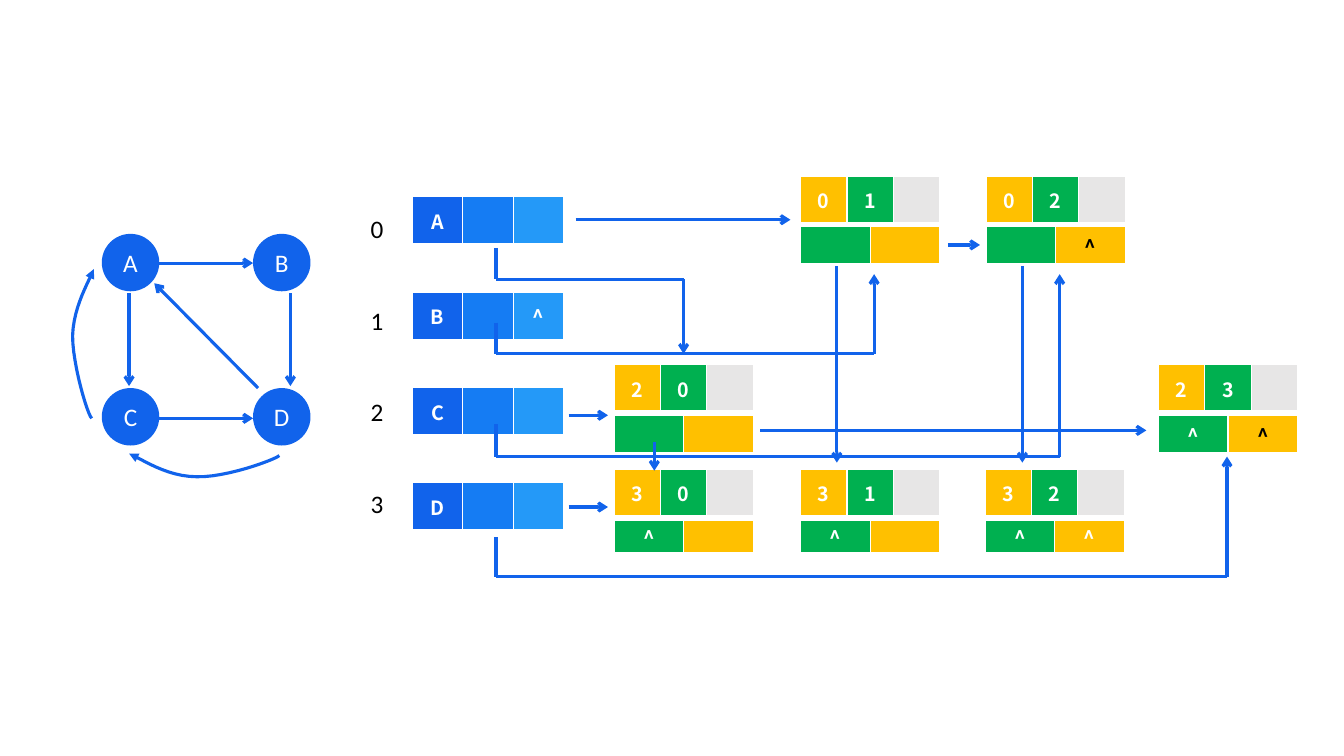
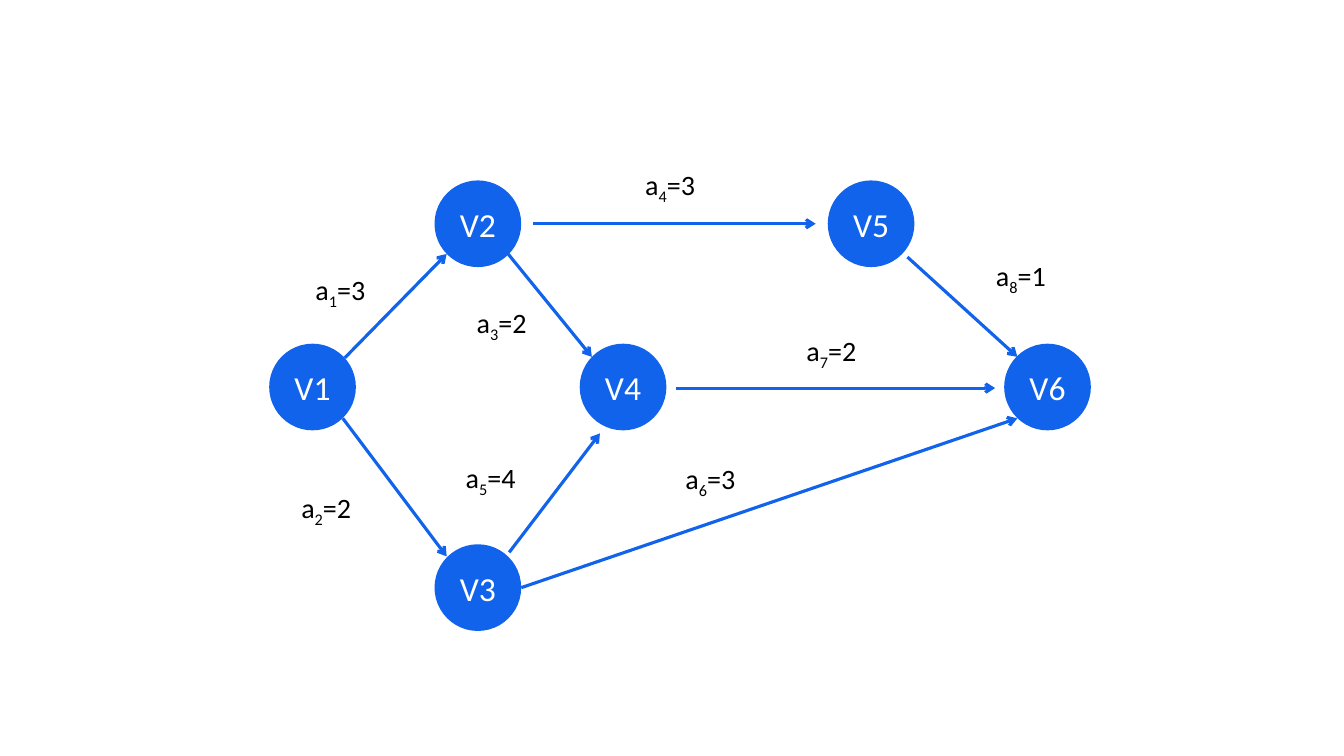
from dataclasses import dataclass

from lxml.etree import SubElement
from pptx import Presentation
from pptx.dml.color import RGBColor
from pptx.enum.shapes import MSO_CONNECTOR, MSO_SHAPE
from pptx.enum.text import MSO_ANCHOR, PP_ALIGN
from pptx.oxml.ns import qn
from pptx.util import Inches, Pt


@dataclass(frozen=True)
class Theme:
    blue: str = "1163EB"
    mid: str = "157CF3"
    light: str = "2499F8"
    gold: str = "FFC000"
    green: str = "00B050"
    grey: str = "E7E6E6"
    white: str = "FFFFFF"
    black: str = "000000"
    font: str = "Calibri"
    grid: str = "Noto Sans CJK SC"
    cell: int = 14
    body: int = 18
    label: int = 20
    node: int = 24
    line: float = 2.25


T = Theme()

# Slide 1: small graph as (name, left, top), then arrows and bends
NODES = [("A", 1.01, 2.32), ("B", 2.51, 2.32), ("C", 1.01, 3.85), ("D", 2.51, 3.85)]
ARCS = [
    [(1.58, 2.61), (2.51, 2.61)],
    [(2.88, 2.91), (2.88, 3.83)],
    [(1.58, 4.15), (2.51, 4.15)],
    [(1.28, 2.91), (1.28, 3.83)],
    [(2.56, 3.85), (1.53, 2.81)],
]
# Bezier points; the arrowhead sits at the first one
BENDS = [
    [(0.93, 2.67), (0.89, 2.78), (0.73, 3.03), (0.72, 3.33),
     (0.72, 3.62), (0.87, 4.12), (0.91, 4.15)],
    [(1.28, 4.5), (1.4, 4.55), (1.65, 4.73), (1.95, 4.73),
     (2.24, 4.74), (2.73, 4.56), (2.77, 4.52)],
]

# Vertex rows, and edge boxes: left, top, foot height, ends, marks, mark colours
HEADS = [("A", ""), ("B", "^"), ("C", ""), ("D", "")]
BOXES = [
    (7.94, 1.75, 0.38, "01", ("", ""), (T.white, T.white)),
    (9.78, 1.75, 0.38, "02", ("", "^"), (T.white, T.black)),
    (6.09, 3.62, 0.38, "20", ("", ""), (T.white, T.white)),
    (11.49, 3.62, 0.38, "23", ("^", "^"), (T.white, T.black)),
    (6.09, 4.66, 0.33, "30", ("^", ""), (T.white, T.white)),
    (7.94, 4.66, 0.33, "31", ("^", ""), (T.white, T.white)),
    (9.77, 4.66, 0.33, "32", ("^", "^"), (T.white, T.white)),
]
LINKS = [
    [(5.71, 2.18), (7.84, 2.18)],
    [(9.4, 2.43), (9.72, 2.43)],
    [(8.3, 2.64), (8.3, 4.59)],
    [(10.14, 2.64), (10.14, 4.59)],
    [(7.54, 4.27), (11.37, 4.27)],
    [(4.92, 2.46), (4.92, 2.77), (6.78, 2.77), (6.78, 3.51)],
    [(5.64, 4.12), (6.03, 4.12)],
    [(5.64, 5.03), (6.03, 5.03)],
    [(4.92, 3.2), (4.92, 3.51), (8.67, 3.51), (8.67, 2.72)],
    [(4.92, 4.21), (4.92, 4.53), (10.51, 4.53), (10.51, 2.72)],
    [(6.49, 4.39), (6.49, 4.67)],
    [(4.92, 5.33), (4.92, 5.72), (12.17, 5.72), (12.17, 4.53)],
]

# Slide 2: events, then tasks as (number, length, label place, arrow)
EVENTS = [("V1", 2.67, 3.41), ("V2", 4.31, 1.79), ("V3", 4.31, 5.4),
          ("V4", 5.75, 3.41), ("V5", 8.21, 1.79), ("V6", 9.96, 3.41)]
TASKS = [
    (1, 3, (3.03, 2.65), [(3.42, 3.55), (4.43, 2.52)]),
    (2, 2, (2.89, 4.82), [(3.4, 4.15), (4.43, 5.52)]),
    (3, 2, (4.63, 2.98), [(5.04, 2.52), (5.87, 3.54)]),
    (4, 3, (6.3, 1.61), [(5.29, 2.22), (8.09, 2.22)]),
    (5, 4, (4.52, 4.52), [(5.05, 5.48), (5.95, 4.3)]),
    (6, 3, (6.7, 4.53), [(5.17, 5.83), (10.09, 4.15)]),
    (7, 2, (7.9, 3.26), [(6.7, 3.85), (9.87, 3.85)]),
    (8, 1, (9.78, 2.52), [(9, 2.55), (10.09, 3.54)]),
]


# Shared parts
def style(para, size, color=T.black, font=T.font, bold=False):
    for run in para.runs:
        run.font.size, run.font.name, run.font.bold = Pt(size), font, bold
        run.font.color.rgb = RGBColor.from_string(color)


def paint(fill, color):
    fill.solid()
    fill.fore_color.rgb = RGBColor.from_string(color)


def stroke(shape, end=None, kind="arrow"):
    shape.line.width = Pt(T.line)
    paint(shape.line.fill, T.blue)
    if end:
        SubElement(shape.line._get_or_add_ln(), qn("a:" + end), type=kind)


def add_node(slide, name, x, y, side, size):
    disc = slide.shapes.add_shape(
        MSO_SHAPE.OVAL, Inches(x), Inches(y), Inches(side), Inches(side))
    disc.shadow.inherit = False
    paint(disc.fill, T.blue)
    disc.line.fill.background()
    frame = disc.text_frame
    frame.margin_left = frame.margin_right = 0
    frame.vertical_anchor = MSO_ANCHOR.MIDDLE
    frame.text = name
    frame.paragraphs[0].alignment = PP_ALIGN.CENTER
    style(frame.paragraphs[0], size, T.white)


def add_route(slide, points):
    """Draw straight legs; the last one carries the arrowhead."""
    for start, stop in zip(points, points[1:]):
        leg = slide.shapes.add_connector(
            MSO_CONNECTOR.STRAIGHT, *map(Inches, start + stop))
        stroke(leg, "tailEnd" if stop == points[-1] else None)
        SubElement(leg._element.spPr, qn("a:effectLst"))


def add_bend(slide, points, steps=12):
    """Draw joined cubic curves as one open outline."""
    trace = []
    for i in range(0, len(points) - 1, 3):
        for n in range(1, steps + 1):
            t = n / steps
            u = 1 - t
            parts = (u ** 3, 3 * u * u * t, 3 * u * t * t, t ** 3)
            trace.append(tuple(
                Inches(sum(w * p[k] for w, p in zip(parts, points[i:i + 4])))
                for k in (0, 1)))
    pen = slide.shapes.build_freeform(*map(Inches, points[0]))
    pen.add_line_segments(trace, close=False)
    curve = pen.convert_to_shape()
    curve.shadow.inherit = False
    curve.fill.background()
    stroke(curve, "headEnd", "triangle")


def add_row(slide, x, y, width, height, cells):
    """Draw a one-row table from (text, fill, text colour) cells."""
    table = slide.shapes.add_table(
        1, len(cells), Inches(x), Inches(y), Inches(width), Inches(height)).table
    table.first_row = table.horz_banding = False
    for cell, (text, fill, color) in zip(table.iter_cells(), cells):
        for side, pts in (("L", 1), ("R", 1), ("T", 1), ("B", 3)):
            edge = SubElement(cell._tc.get_or_add_tcPr(), qn("a:ln" + side),
                              w=str(Pt(pts)))
            ink = SubElement(edge, qn("a:solidFill"))
            SubElement(ink, qn("a:srgbClr"), val=T.white)
        paint(cell.fill, fill)
        cell.margin_top = cell.margin_bottom = 0
        cell.vertical_anchor = MSO_ANCHOR.MIDDLE
        if text:
            cell.text_frame.text = text
            para = cell.text_frame.paragraphs[0]
            para.alignment = PP_ALIGN.CENTER
            style(para, T.cell, color, T.grid, True)


def add_text(slide, x, y, width, height, wrap):
    box = slide.shapes.add_textbox(
        Inches(x), Inches(y), Inches(width), Inches(height))
    box.text_frame.word_wrap = wrap
    return box.text_frame


# Slides
def draw_list(slide):
    for name, x, y in NODES:
        add_node(slide, name, x, y, 0.57, T.body)
    for bend in BENDS:
        add_bend(slide, bend)

    pitch = (4.79 - 1.95) / (len(HEADS) - 1)
    for i, (name, mark) in enumerate(HEADS):
        add_row(slide, 4.09, 1.95 + i * pitch, 1.5, 0.48,
                [(name, T.blue, T.white), ("", T.mid, T.white),
                 (mark, T.light, T.white)])
    for x, y, foot, ends, marks, inks in BOXES:
        add_row(slide, x, y, 1.38, 0.47,
                [(ends[0], T.gold, T.white), (ends[1], T.green, T.white),
                 ("", T.grey, T.white)])
        add_row(slide, x, y + 0.5, 1.38, foot,
                list(zip(marks, (T.green, T.gold), inks)))

    frame = add_text(slide, 3.57, 1.92, 0.34, 3.28, True)
    frame.text = "\n".join(str(i) for i in range(len(HEADS)))
    for i, para in enumerate(frame.paragraphs):
        para.alignment, para.line_spacing = PP_ALIGN.CENTER, 1.5
        if i:
            para.space_before = Pt(33)
        style(para, T.body)
    for route in ARCS + LINKS:
        add_route(slide, route)


def draw_tasks(slide):
    for name, x, y in EVENTS:
        add_node(slide, name, x, y, 0.86, T.node)
    for num, days, place, route in TASKS:
        add_route(slide, route)
        para = add_text(slide, *place, 0.77, 0.44, False).paragraphs[0]
        for text in ("a", str(num), f"={days}"):
            para.add_run().text = text
        style(para, T.label)
        para.runs[1].font._element.set("baseline", "-25000")


def main():
    deck = Presentation()
    deck.slide_width, deck.slide_height = Inches(13.33), Inches(7.5)
    for draw in (draw_list, draw_tasks):
        draw(deck.slides.add_slide(deck.slide_layouts[6]))
    deck.save("out.pptx")


if __name__ == "__main__":
    main()
